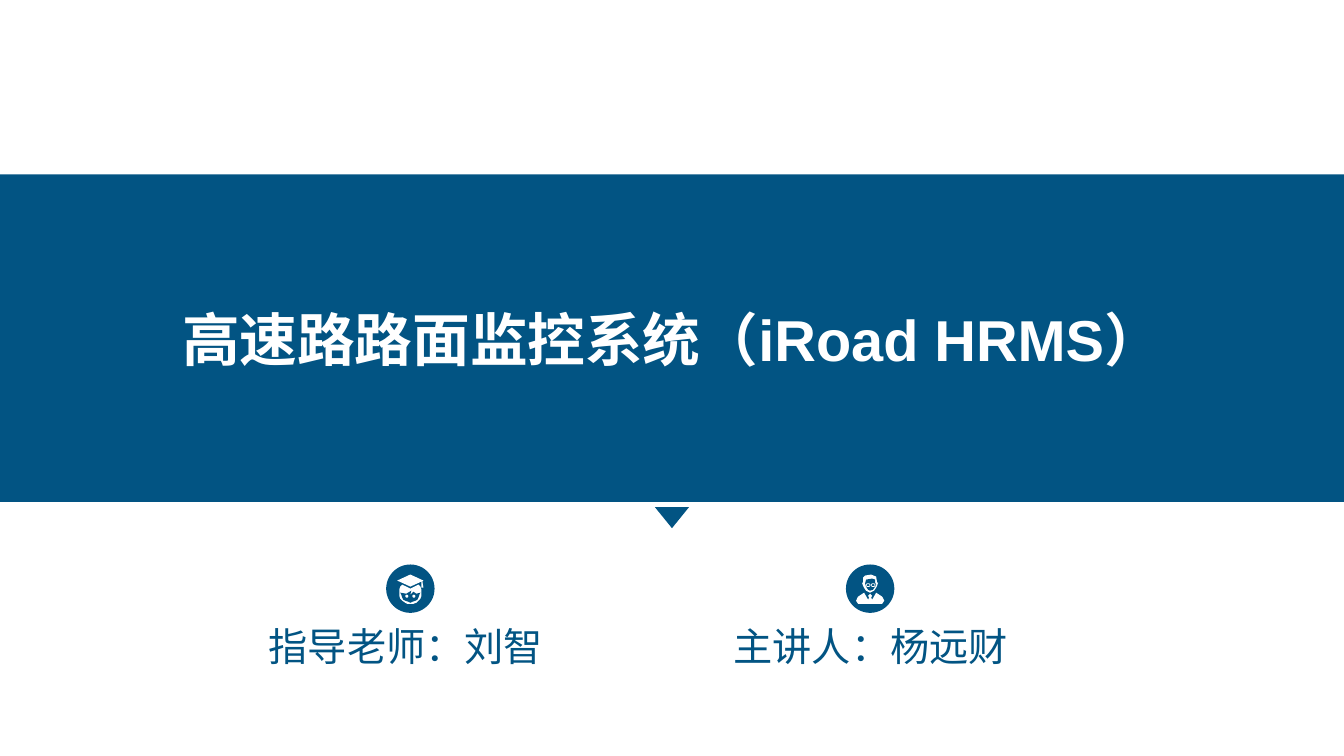
from math import cos, radians, sin

from pptx import Presentation
from pptx import util as u
from pptx.dml.color import RGBColor
from pptx.enum import shapes, text

COLORS = {"navy": "025483", "white": "FFFFFF"}
FONT = "Arial"
UNIT = u.Inches(0.01)  # icon outlines are measured in hundredths of an inch
BADGE = 0.48


def color(name):
    return RGBColor.from_string(COLORS[name])


def paint(shape, fill, line=None):
    shape.shadow.inherit = False
    shape.fill.solid()
    shape.fill.fore_color.rgb = color(fill)
    if line:
        shape.line.color.rgb = color(line)
        shape.line.width = u.Pt(0.5)
    else:
        shape.line.fill.background()
    return shape


def preset(slide, kind, left, top, width, height, fill, line=None):
    box = [u.Inches(side) for side in (left, top, width, height)]
    return paint(slide.shapes.add_shape(kind, *box), fill, line)


def disc(slide, left, top, width, height, fill, line=None):
    return preset(slide, shapes.MSO_SHAPE.OVAL, left, top, width, height, fill, line)


def outline(slide, left, top, points, fill):
    pen = slide.shapes.build_freeform(*points[0], scale=UNIT)
    pen.add_line_segments(points[1:], close=True)
    return paint(pen.convert_to_shape(u.Inches(left), u.Inches(top)), fill)


def arc(center, radius, start, end, step=15):
    return [(center[0] + radius * cos(radians(a)), center[1] + radius * sin(radians(a)))
            for a in range(start, end + 1, step)]


def write(shape, wording, size, fill, bold=False):
    shape.text_frame.text = wording
    line = shape.text_frame.paragraphs[0]
    line.alignment = text.PP_ALIGN.CENTER
    font = line.runs[0].font
    font.name, font.size, font.bold = FONT, u.Pt(size), bold
    font.color.rgb = color(fill)


def title_band(slide, left, top, width, height):
    band = preset(slide, shapes.MSO_SHAPE.RECTANGLE, left, top, width, height, "navy")
    band.text_frame.vertical_anchor = text.MSO_ANCHOR.MIDDLE
    band.text_frame.word_wrap = True
    write(band, "高速路路面监控系统（iRoad HRMS）", 41.2, "white", bold=True)
    # Pointer centred below the band
    pointer = preset(slide, shapes.MSO_SHAPE.FLOWCHART_MERGE,
                     left + (width - 0.34) / 2, top + height + 0.05, 0.34, 0.21, "navy")
    return pointer


def graduate_icon(slide, left, top):
    disc(slide, left, top, BADGE, BADGE, "navy")
    # Head, face and eyes
    center = (24, 28)
    outline(slide, left, top, [(24, 24)] + arc(center, 11, -45, 225), "white")
    fringe = [(20, 29), (25, 26), (24, 30), (27, 27), (30, 29)]
    outline(slide, left, top, arc(center, 9.5, 0, 180) + fringe, "navy")
    for eye in (0.19, 0.26):
        disc(slide, left + eye, top + 0.3, 0.03, 0.03, "white")
    # Mortarboard with tassel
    outline(slide, left, top, [(37, 16), (24, 10), (11, 16), (24, 22), (35, 17),
                               (35, 23), (37, 23), (36, 17)], "white")


def speaker_icon(slide, left, top):
    disc(slide, left, top, BADGE, BADGE, "navy")
    # Jacket with collar and tie
    outline(slide, left, top, [(30, 28), (26, 35), (25, 33), (26, 31), (24, 29), (22, 31),
                               (23, 33), (22, 35), (18, 28), (12, 32), (10, 36), (12, 39),
                               (36, 39), (38, 36), (36, 32)], "white")
    # Head and face
    outline(slide, left, top, [(19, 11), (25, 10), (30, 12), (31, 18), (32, 18), (31, 21),
                               (30, 23), (28, 26), (24, 28), (20, 26), (18, 23), (17, 21),
                               (16, 18), (17, 18), (17, 13)], "white")
    outline(slide, left, top, [(20, 15), (26, 14), (29, 15), (29, 18), (30, 20), (29, 22),
                               (27, 25), (24, 26), (22, 25), (20, 22), (19, 19)], "navy")
    # Glasses
    for lens in (0.2, 0.25):
        disc(slide, left + lens, top + 0.19, 0.04, 0.03, "navy", "white")


def person(slide, left, top, width, height, wording, icon, icon_left):
    icon(slide, left + icon_left, top)
    label = slide.shapes.add_textbox(u.Inches(left), u.Inches(top + 0.52),
                                     u.Inches(width), u.Inches(height - 0.52))
    label.text_frame.word_wrap = False
    write(label, wording, 28, "navy")


def cover(deck):
    slide = deck.slides.add_slide(deck.slide_layouts[6])
    title_band(slide, 0, 1.73, 13.33, 3.25)
    person(slide, 2.55, 5.6, 2.95, 1.09, "指导老师：刘智", graduate_icon, 1.28)
    person(slide, 7.16, 5.6, 2.95, 1.09, "主讲人：杨远财", speaker_icon, 1.23)


deck = Presentation()
deck.slide_width, deck.slide_height = u.Inches(13.33), u.Inches(7.5)
cover(deck)
deck.save("out.pptx")
